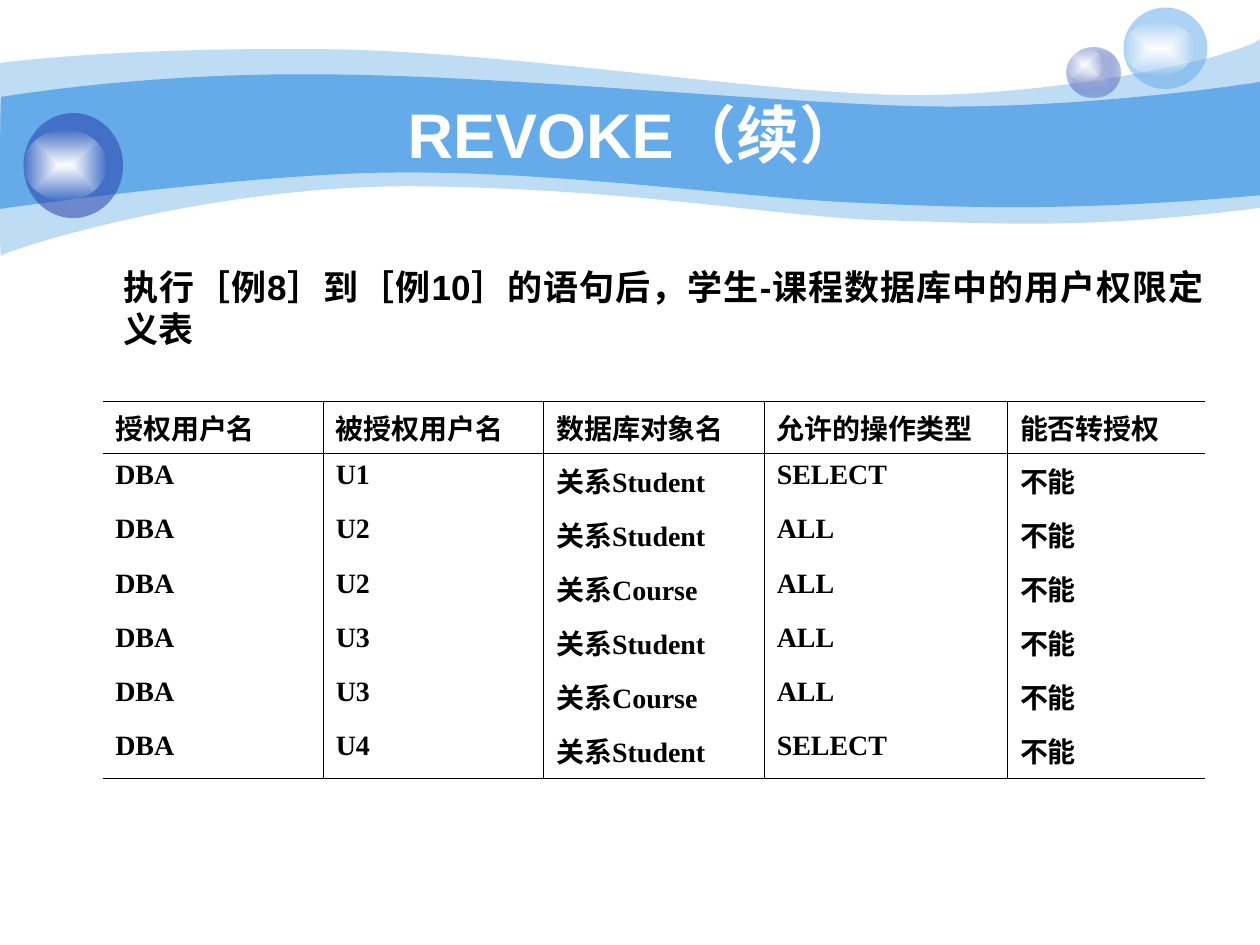
import lxml.etree
import pptx
import pptx.dml.color
import pptx.enum.shapes
import pptx.enum.text
import pptx.oxml
import pptx.oxml.ns
import pptx.util

Pt = pptx.util.Pt
RGBColor = pptx.dml.color.RGBColor
ALIGN = pptx.enum.text.PP_ALIGN
qn = pptx.oxml.ns.qn

SKY = RGBColor(0x65, 0xAA, 0xE9)
NAVY = RGBColor(0x23, 0x3D, 0xA9)
LILAC = RGBColor(0xC6, 0xCC, 0xE8)
WHITE = RGBColor(0xFF, 0xFF, 0xFF)
NEAR_WHITE = RGBColor(0xFE, 0xFE, 0xFE)
BLACK = RGBColor(0, 0, 0)
GLOW = [(WHITE, 100), (NEAR_WHITE, 0)]


def write(tf, text, size, font="Arial", color=BLACK, align=ALIGN.LEFT, left=0):
    tf.word_wrap = True
    p = tf.paragraphs[0]
    p.alignment = align
    if left:
        p._p.get_or_add_pPr().set("marL", str(Pt(left)))
    r = p.add_run()
    r.text = text
    r.font.size = Pt(size)
    r.font.name = font
    r.font.bold = True
    r.font.color.rgb = color


def paint(sp, stops):
    """Fill with (colour, opacity %) stops from centre to edge; one stop is solid."""
    sp.shadow.inherit = False
    sp.line.fill.background()
    sp.fill.solid()
    sp.fill.fore_color.rgb = stops[0][0]
    solid = sp.fill._xPr.find(qn("a:solidFill"))
    if len(stops) == 1:
        if stops[0][1] < 100:
            lxml.etree.SubElement(solid[0], qn("a:alpha"), val=str(stops[0][1] * 1000))
        return
    gs = "".join(
        f'<a:gs pos="{i * 100000}"><a:srgbClr val="{c}"><a:alpha val="{a * 1000}"/></a:srgbClr></a:gs>'
        for i, (c, a) in enumerate(stops))
    grad = pptx.oxml.parse_xml(
        f'<a:gradFill {pptx.oxml.ns.nsdecls("a")} rotWithShape="1"><a:gsLst>{gs}</a:gsLst><a:path path="rect">'
        '<a:fillToRect l="50000" t="50000" r="50000" b="50000"/></a:path></a:gradFill>')
    solid.getparent().replace(solid, grad)


prs = pptx.Presentation()
prs.slide_width, prs.slide_height = Pt(720), Pt(540)
s = prs.slides.add_slide(prs.slide_layouts[6])

# Waves: opacity, start, then segments of one point (line) or three (cubic curve)
waves = [
    (41, (0, 36), [
        [(17.3, 33.8), (77, 27.4), (177.8, 28.1)],
        [(278, 28.1), (414, 50.4), (503.3, 54)],
        [(591.8, 57.6), (705.6, 33.8), (720, 22.3)],
        [(720, 118.8)],
        [(617.8, 131.8), (566.6, 127.4), (507.6, 126)],
        [(447.8, 124.6), (370.8, 108.7), (247, 106.6)],
        [(123.8, 103.7), (2.9, 143.3), (0.7, 146.2)],
        [(-0.7, 149.8), (0, 54), (0, 36)]]),
    (100, (0.7, 55.4), [
        [(1.4, 55.4), (79.2, 41.8), (178.6, 42.5)],
        [(278, 42.5), (428.4, 57.6), (517, 60.5)],
        [(605.5, 63.4), (702.7, 49.7), (720, 46.8)],
        [(720, 111.6)],
        [(614.2, 121), (550.8, 118.8), (491, 115.9)],
        [(431.3, 113.8), (321.8, 97.9), (228.2, 98.6)],
        [(146.2, 98.6), (-1.4, 119.5), (-0.7, 119.5)],
        [(0, 119.5), (0, 55.4), (0.7, 55.4)]]),
]
for opacity, start, segments in waves:
    fb = s.shapes.build_freeform(Pt(start[0]), Pt(start[1]))
    fb.add_line_segments([(Pt(x), Pt(y)) for segment in segments for x, y in segment], close=True)
    wave = fb.convert_to_shape()
    lines = iter(list(wave._element.iter(qn("a:lnTo"))))
    for segment in segments:
        group = [next(lines) for _ in segment]
        if len(group) == 3:
            curve = lxml.etree.Element(qn("a:cubicBezTo"))
            group[0].addprevious(curve)
            for line in group:
                curve.append(line[0])
                line.getparent().remove(line)
    paint(wave, [(SKY, opacity)])

bubbles = [
    ((609.8, 27, 30.5, 29), [(LILAC, 100), (NAVY, 31)]),
    ((609.8, 27, 20.2, 19.4), GLOW),
    ((642, 4.3, 48, 46.6), [(SKY, 53)]),
    ((642, 12.2, 40.3, 31), GLOW),
    ((13.4, 64.6, 56.9, 60), [(NAVY, 53)]),
    ((13.4, 74.2, 47.5, 40.3), GLOW),
]
for box, stops in bubbles:
    sp = s.shapes.add_shape(pptx.enum.shapes.MSO_SHAPE.OVAL, *map(Pt, box))
    paint(sp, stops)

title = s.shapes.add_textbox(Pt(72), Pt(54), Pt(582), Pt(44.6))
title.text_frame.vertical_anchor = pptx.enum.text.MSO_ANCHOR.MIDDLE
write(title.text_frame, "REVOKE（续）", 36, color=WHITE, align=ALIGN.CENTER)

body = s.shapes.add_textbox(Pt(36), Pt(144), Pt(658.8), Pt(86.4))
body.text_frame.margin_top = Pt(8)
write(body.text_frame, "执行［例8］到［例10］的语句后，学生-课程数据库中的用户权限定义表", 20,
      align=ALIGN.JUSTIFY, left=27.2)

rows = [
    ("授权用户名", "被授权用户名", "数据库对象名", "允许的操作类型", "能否转授权"),
    ("DBA", "U1", "关系Student", "SELECT", "不能"),
    ("DBA", "U2", "关系Student", "ALL", "不能"),
    ("DBA", "U2", "关系Course", "ALL", "不能"),
    ("DBA", "U3", "关系Student", "ALL", "不能"),
    ("DBA", "U3", "关系Course", "ALL", "不能"),
    ("DBA", "U4", "关系Student", "SELECT", "不能"),
]
widths = [126, 126, 126, 139, 113]
heights = [30] + [30.9] * 6
table = s.shapes.add_table(len(rows), len(widths), Pt(58.7), Pt(229.2), Pt(sum(widths)), Pt(sum(heights))).table
table.first_row = table.horz_banding = False
for column, width in zip(table.columns, widths):
    column.width = Pt(width)
for row, height in zip(table.rows, heights):
    row.height = Pt(height)

for i, row in enumerate(rows):
    for j, text in enumerate(row):
        cell = table.cell(i, j)
        cell.fill.background()
        write(cell.text_frame, text, 16, font="Times New Roman")
        borders = {"L": j > 0, "R": j < len(row) - 1, "T": i < 2, "B": i in (0, len(rows) - 1)}
        tcPr = cell._tc.get_or_add_tcPr()
        for k, (side, visible) in enumerate(borders.items()):
            ln = lxml.etree.Element(qn(f"a:ln{side}"), w=str(Pt(0.45)))
            if visible:
                fill = lxml.etree.SubElement(ln, qn("a:solidFill"))
                lxml.etree.SubElement(fill, qn("a:srgbClr"), val=str(BLACK))
            else:
                lxml.etree.SubElement(ln, qn("a:noFill"))
            tcPr.insert(k, ln)

prs.save("out.pptx")
